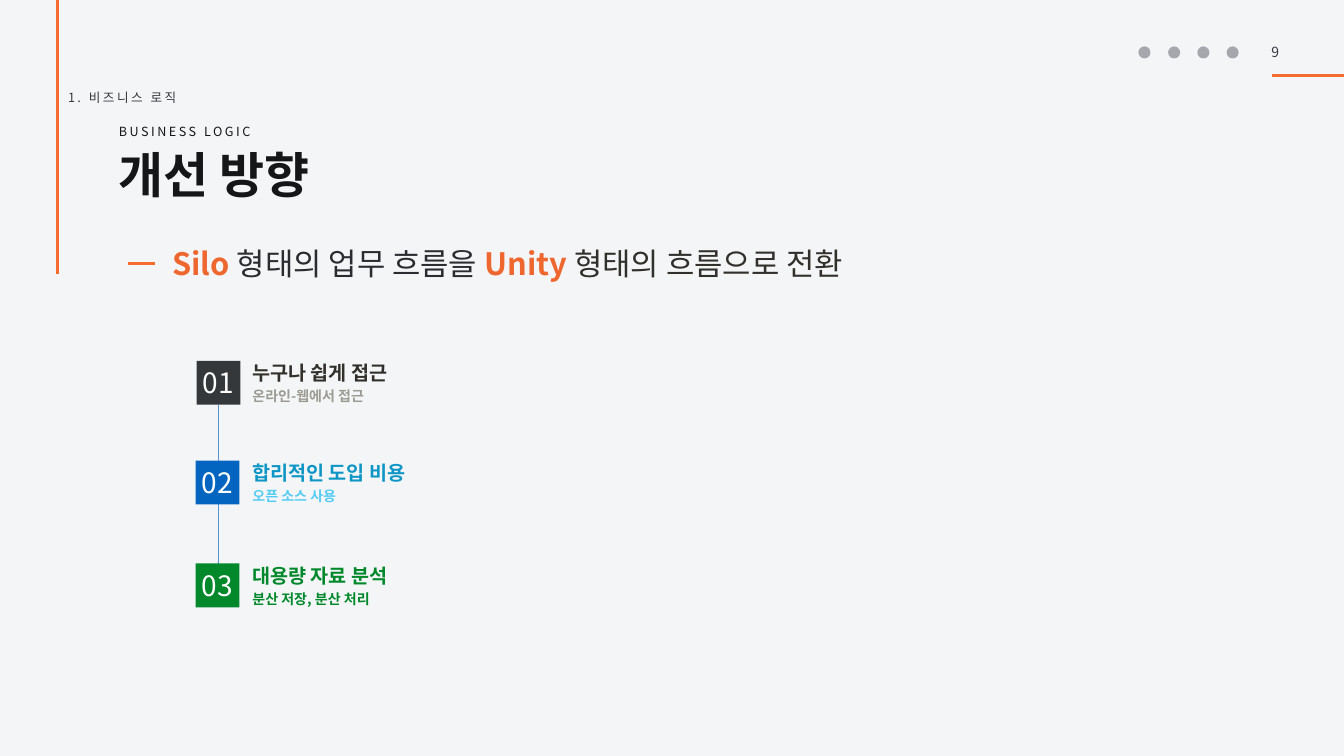
from lxml import etree
from pptx import Presentation
from pptx.dml.color import RGBColor
from pptx.enum import shapes, text
from pptx.oxml import ns
from pptx.util import Inches, Pt

FONT = "Noto Sans CJK KR"
ORANGE = "F56C2E"
ACCENT = "EE672F"
INK = "151618"
SLATE = "34383B"
STEPS = [
    ("01", 3.9, 7.16, "누구나 쉽게 접근", "온라인-웹에서 접근", SLATE, "31302B", "9B9B92"),
    ("02", 3.88, 9.14, "합리적인 도입 비용", "오픈 소스 사용", "0365C0", "0D96C5", "56CCF4"),
    ("03", 3.88, 11.18, "대용량 자료 분석", "분산 저장, 분산 처리", "00882B", "00882B", "00882B"),
]


def rgb(value):
    """Turn a hex string into a colour."""
    return RGBColor.from_string(value)


def add_run(paragraph, words, size, color, bold=False, spacing=0):
    """Append one styled run to a paragraph."""
    run = paragraph.add_run()
    run.text = words
    run.font.size = Pt(size)
    run.font.bold = bold
    run.font.color.rgb = rgb(color)
    run.font.name = FONT
    properties = run.font._element
    etree.SubElement(properties, ns.qn("a:ea")).set("typeface", FONT)
    if spacing:
        properties.set("spc", str(round(spacing * 100)))


def add_text(slide, box, runs, insets=(0.04, 0.04), middle=False, line_spacing=None):
    """Add a one-paragraph text box made of the given runs."""
    frame = slide.shapes.add_textbox(*map(Inches, box)).text_frame
    frame.word_wrap = True
    frame.margin_left = frame.margin_right = Inches(insets[0])
    frame.margin_top = frame.margin_bottom = Inches(insets[1])
    if middle:
        frame.vertical_anchor = text.MSO_ANCHOR.MIDDLE
    paragraph = frame.paragraphs[0]
    if line_spacing:
        paragraph.line_spacing = line_spacing
    for run in runs:
        add_run(paragraph, *run)


def add_block(slide, kind, box, color):
    """Add a flat filled shape without outline."""
    shape = slide.shapes.add_shape(kind, *map(Inches, box))
    shape.shadow.inherit = False
    shape.fill.solid()
    shape.fill.fore_color.rgb = rgb(color)
    shape.line.fill.background()
    return shape


def add_line(slide, ends, color, width):
    """Add a straight line without shadow."""
    line = slide.shapes.add_connector(shapes.MSO_CONNECTOR.STRAIGHT, *map(Inches, ends))
    line.line.color.rgb = rgb(color)
    line.line.width = Pt(width)
    etree.SubElement(line._element.spPr, ns.qn("a:effectLst"))


def add_step(slide, number, left, top, title, detail, fill, title_color, detail_color):
    """Add a numbered square with its title and detail."""
    square = add_block(slide, shapes.MSO_SHAPE.RECTANGLE, (left, top, 0.87, 0.87), fill)
    frame = square.text_frame
    frame.margin_left = frame.margin_right = 0
    frame.vertical_anchor = text.MSO_ANCHOR.MIDDLE
    paragraph = frame.paragraphs[0]
    paragraph.alignment = text.PP_ALIGN.CENTER
    add_run(paragraph, number, 40, "FFFFFF")
    add_text(slide, (4.91, top, 4.61, 0.47), [(title, 28, title_color, True)], (0.1, 0))
    add_text(slide, (4.91, top + 0.53, 4.61, 0.34), [(detail, 20, detail_color, True)], (0.1, 0))


def add_header(slide):
    """Add the icon marks, page number, rules and headings."""
    for center in (22.71, 23.3, 23.88, 24.46):
        add_block(slide, shapes.MSO_SHAPE.OVAL, (center - 0.12, 0.92, 0.24, 0.24), "A6A7AC")
    add_line(slide, (25.24, 1.5, 26.67, 1.5), ORANGE, 4)
    add_line(slide, (1.14, 0, 1.14, 5.44), ORANGE, 4)
    add_text(slide, (25.19, 0.83, 0.67, 0.42), [("9", 20, "393941", False, 4)])
    add_text(slide, (1.31, 1.73, 4.24, 0.39),
             [("1. 비즈니스 로직", 18, SLATE, False, 3.6)], middle=True)
    add_text(slide, (2.32, 2.41, 4.24, 0.39),
             [("BUSINESS LOGIC", 18, INK, False, 3.6)], middle=True)
    add_text(slide, (2.31, 3.05, 9.95, 1.3), [("개선 방향", 70, INK, True)], line_spacing=0.8)


def add_headline(slide):
    """Add the key message with its leading dash."""
    add_line(slide, (2.54, 5.23, 3.08, 5.23), ORANGE, 4)
    add_text(slide, (3.32, 4.81, 15.43, 0.95), [
        ("Silo ", 44, ACCENT, True),
        ("형태의 업무 흐름을 ", 44, "2A2C2F"),
        ("Unity ", 44, ACCENT, True),
        ("형태의 흐름으로 전환", 44, "31302B"),
    ], (0.1, 0.05))


def main():
    """Build the slide and save it."""
    presentation = Presentation()
    presentation.slide_width = Inches(26.67)
    presentation.slide_height = Inches(15)
    slide = presentation.slides.add_slide(presentation.slide_layouts[6])
    slide.background.fill.solid()
    slide.background.fill.fore_color.rgb = rgb("F4F5F7")
    add_header(slide)
    add_headline(slide)
    add_line(slide, (4.34, 8.03, 4.33, 11.56), "0063BF", 0.75)
    for step in STEPS:
        add_step(slide, *step)
    presentation.save("out.pptx")


if __name__ == "__main__":
    main()
